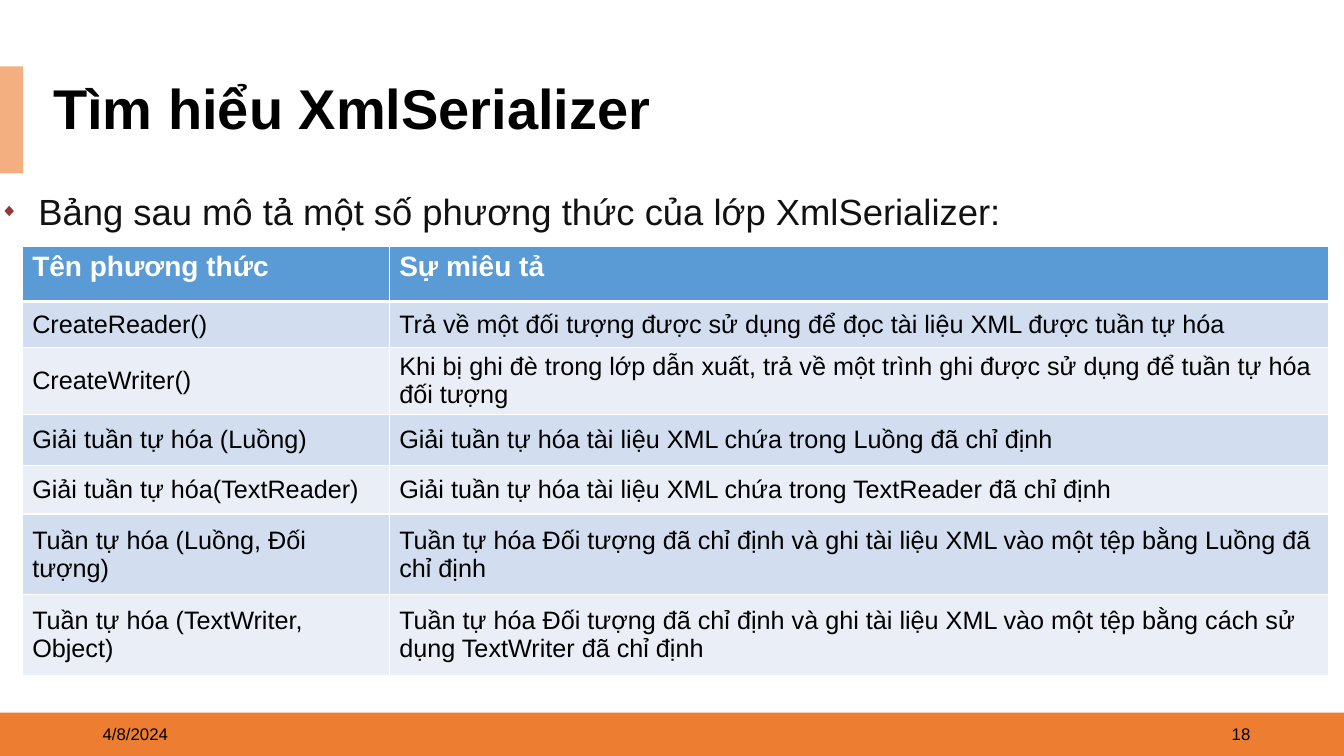
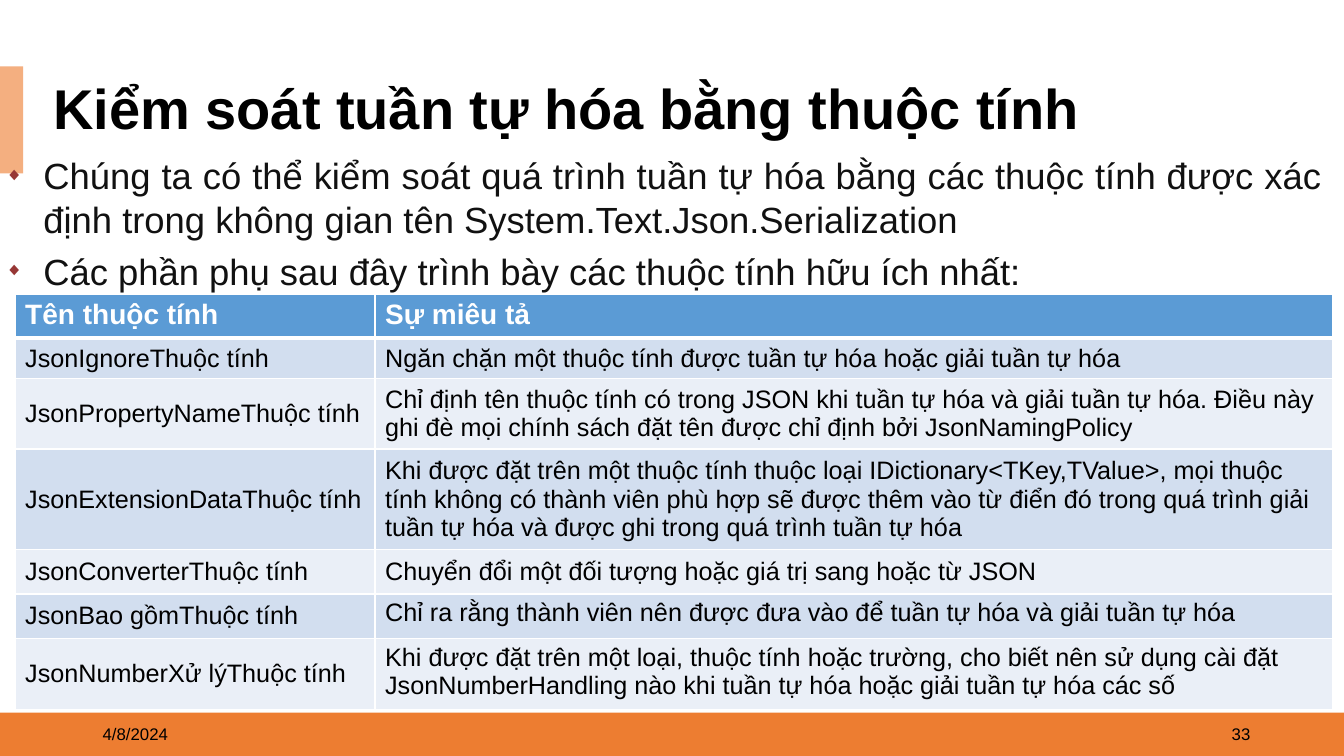
import pptx
import pptx.dml.color
import pptx.enum.shapes
import pptx.enum.text
import pptx.oxml.ns
import pptx.util
from lxml import etree

Inches, Pt = pptx.util.Inches, pptx.util.Pt
RGB = pptx.dml.color.RGBColor
ALIGN = pptx.enum.text.PP_ALIGN
ANCHOR = pptx.enum.text.MSO_ANCHOR
qn = pptx.oxml.ns.qn

FONT = "Arial"
BLACK = RGB(0x00, 0x00, 0x00)
WHITE = RGB(0xFF, 0xFF, 0xFF)
INK = RGB(0x11, 0x11, 0x11)
ORANGE = RGB(0xED, 0x7D, 0x31)
PEACH = RGB(0xF4, 0xAF, 0x80)
BLUE = RGB(0x5B, 0x9B, 0xD5)
BANDS = (RGB(0xD2, 0xDE, 0xEF), RGB(0xEA, 0xEF, 0xF7))
BULLET = RGB(0x97, 0x37, 0x35)

SLIDES = [
    dict(
        title="Tìm hiểu XmlSerializer",
        number="18",
        bullets=["Bảng sau mô tả một số phương thức của lớp XmlSerializer:"],
        body_box=(0, 1.83, 13.08, 0.55),
        table_at=(0.22, 2.44),
        cols=(3.64, 9.32),
        heights=(0.55, 0.46, 0.66, 0.51, 0.48, 0.8, 0.8),
        top_rows=(),
        rows=[
            ("Tên phương thức", "Sự miêu tả"),
            ("CreateReader()",
             "Trả về một đối tượng được sử dụng để đọc tài liệu XML được tuần tự hóa"),
            ("CreateWriter()",
             "Khi bị ghi đè trong lớp dẫn xuất, trả về một trình ghi được sử dụng "
             "để tuần tự hóa đối tượng"),
            ("Giải tuần tự hóa (Luồng)",
             "Giải tuần tự hóa tài liệu XML chứa trong Luồng đã chỉ định"),
            ("Giải tuần tự hóa(TextReader)",
             "Giải tuần tự hóa tài liệu XML chứa trong TextReader đã chỉ định"),
            ("Tuần tự hóa (Luồng, Đối tượng)",
             "Tuần tự hóa Đối tượng đã chỉ định và ghi tài liệu XML vào một tệp "
             "bằng Luồng đã chỉ định"),
            ("Tuần tự hóa (TextWriter, Object)",
             "Tuần tự hóa Đối tượng đã chỉ định và ghi tài liệu XML vào một tệp "
             "bằng cách sử dụng TextWriter đã chỉ định"),
        ],
    ),
    dict(
        title="Kiểm soát tuần tự hóa bằng thuộc tính",
        number="33",
        bullets=[
            "Chúng ta có thể kiểm soát quá trình tuần tự hóa bằng các thuộc tính "
            "được xác định trong không gian tên System.Text.Json.Serialization",
            "Các phần phụ sau đây trình bày các thuộc tính hữu ích nhất:",
        ],
        body_box=(0.05, 1.47, 13.08, 1.45),
        table_at=(0.15, 2.92),
        cols=(3.57, 9.5),
        heights=(0.43, 0.4, 0.7, 1, 0.44, 0.44, 0.71),
        top_rows=(5, 6),
        rows=[
            ("Tên thuộc tính", "Sự miêu tả"),
            ("JsonIgnoreThuộc tính",
             "Ngăn chặn một thuộc tính được tuần tự hóa hoặc giải tuần tự hóa"),
            ("JsonPropertyNameThuộc tính",
             "Chỉ định tên thuộc tính có trong JSON khi tuần tự hóa và giải tuần tự "
             "hóa. Điều này ghi đè mọi chính sách đặt tên được chỉ định bởi "
             "JsonNamingPolicy"),
            ("JsonExtensionDataThuộc tính",
             "Khi được đặt trên một thuộc tính thuộc loại IDictionary<TKey,TValue>, "
             "mọi thuộc tính không có thành viên phù hợp sẽ được thêm vào từ điển đó "
             "trong quá trình giải tuần tự hóa và được ghi trong quá trình tuần tự hóa"),
            ("JsonConverterThuộc tính",
             "Chuyển đổi một đối tượng hoặc giá trị sang hoặc từ JSON"),
            ("JsonBao gồmThuộc tính",
             "Chỉ ra rằng thành viên nên được đưa vào để tuần tự hóa và giải tuần tự hóa"),
            ("JsonNumberXử lýThuộc tính",
             "Khi được đặt trên một loại, thuộc tính hoặc trường, cho biết nên sử dụng "
             "cài đặt JsonNumberHandling nào khi tuần tự hóa hoặc giải tuần tự hóa các số"),
        ],
    ),
]


def add_run(p, text, size, color, bold=False):
    """Append one styled run to a paragraph."""
    r = p.add_run()
    r.text = text
    r.font.name, r.font.size, r.font.bold = FONT, Pt(size), bold
    r.font.color.rgb = color


def add_bar(s, box, color):
    """Draw a plain filled rectangle."""
    sp = s.shapes.add_shape(pptx.enum.shapes.MSO_SHAPE.RECTANGLE, *map(Inches, box))
    sp.shadow.inherit = False
    sp.fill.solid()
    sp.fill.fore_color.rgb = color
    sp.line.fill.background()


def add_text_frame(s, box, anchor=ANCHOR.MIDDLE):
    """Add a wrapping text box and return its text frame."""
    tf = s.shapes.add_textbox(*map(Inches, box)).text_frame
    tf.word_wrap = True
    tf.vertical_anchor = anchor
    return tf


def add_frame(s, title, number):
    """Place the bars, title, date and slide number shared by all slides."""
    add_bar(s, (0, 7.07, 13.33, 0.43), ORANGE)
    add_bar(s, (0, 0.66, 0.23, 1.06), PEACH)
    for left, text, align in ((0.92, "4/8/2024", ALIGN.LEFT), (9.5, number, ALIGN.RIGHT)):
        p = add_text_frame(s, (left, 7.08, 3, 0.4)).paragraphs[0]
        p.alignment = align
        add_run(p, text, 12, BLACK)
    p = add_text_frame(s, (0.43, 0.79, 12.2, 0.63)).paragraphs[0]
    p.line_spacing = 0.9
    add_run(p, title, 40, BLACK, True)


def set_bullet(p):
    """Give a paragraph a hanging half-size diamond bullet."""
    pPr = p._p.get_or_add_pPr()
    pPr.set("marL", str(Inches(0.38)))
    pPr.set("indent", str(-Inches(0.38)))
    clr = etree.SubElement(pPr, qn("a:buClr"))
    etree.SubElement(clr, qn("a:srgbClr"), val=str(BULLET))
    etree.SubElement(pPr, qn("a:buSzPct"), val="50000")
    etree.SubElement(pPr, qn("a:buFont"), typeface=FONT)
    etree.SubElement(pPr, qn("a:buChar"), char="◆")


def add_bullets(s, box, bullets):
    """Place the justified bullet paragraphs in a box."""
    tf = add_text_frame(s, box, ANCHOR.TOP)
    tf.margin_left = tf.margin_right = 0
    for i, text in enumerate(bullets):
        p = tf.add_paragraph() if i else tf.paragraphs[0]
        set_bullet(p)
        p.alignment = ALIGN.JUSTIFY
        p.space_after = Pt(6)
        add_run(p, text, 26, INK)


def set_borders(cell, top, bottom):
    """Draw white borders around a cell, with the given top and bottom widths."""
    tcPr = cell._tc.get_or_add_tcPr()
    for i, (side, width) in enumerate(zip("LRTB", (1, 1, top, bottom))):
        ln = etree.Element(qn(f"a:ln{side}"), w=str(Pt(width)))
        fill = etree.SubElement(ln, qn("a:solidFill"))
        etree.SubElement(fill, qn("a:srgbClr"), val=str(WHITE))
        tcPr.insert(i, ln)


def add_grid(s, at, cols, heights, rows, top_rows):
    """Place a two-column table with a blue header and banded rows."""
    box = (*at, sum(cols), sum(heights))
    tbl = s.shapes.add_table(len(rows), len(cols), *map(Inches, box)).table
    for c, width in enumerate(cols):
        tbl.columns[c].width = Inches(width)
    for r, (height, texts) in enumerate(zip(heights, rows)):
        tbl.rows[r].height = Inches(height)
        header = r == 0
        for c, text in enumerate(texts):
            cell = tbl.cell(r, c)
            set_borders(cell, 3 if r == 1 else 1, 3 if header else 1)
            cell.fill.solid()
            cell.fill.fore_color.rgb = BLUE if header else BANDS[(r - 1) % 2]
            at_top = header or (c == 1 and r in top_rows)
            cell.vertical_anchor = ANCHOR.TOP if at_top else ANCHOR.MIDDLE
            cell.margin_top = cell.margin_bottom = Inches(0.05 if at_top else 0.03)
            p = cell.text_frame.paragraphs[0]
            p.alignment = ALIGN.JUSTIFY if header else ALIGN.LEFT
            add_run(p, text, 20 if header else 18, WHITE if header else BLACK, header)


def add_table_slide(prs, title, number, bullets, body_box, table_at, cols, heights,
                    top_rows, rows):
    """Build one slide with a title, bullets and a table."""
    s = prs.slides.add_slide(prs.slide_layouts[6])
    add_frame(s, title, number)
    add_bullets(s, body_box, bullets)
    add_grid(s, table_at, cols, heights, rows, top_rows)


def main():
    """Build and save the presentation."""
    prs = pptx.Presentation()
    prs.slide_width, prs.slide_height = Inches(13.33), Inches(7.5)
    for content in SLIDES:
        add_table_slide(prs, **content)
    prs.save("out.pptx")


if __name__ == "__main__":
    main()
